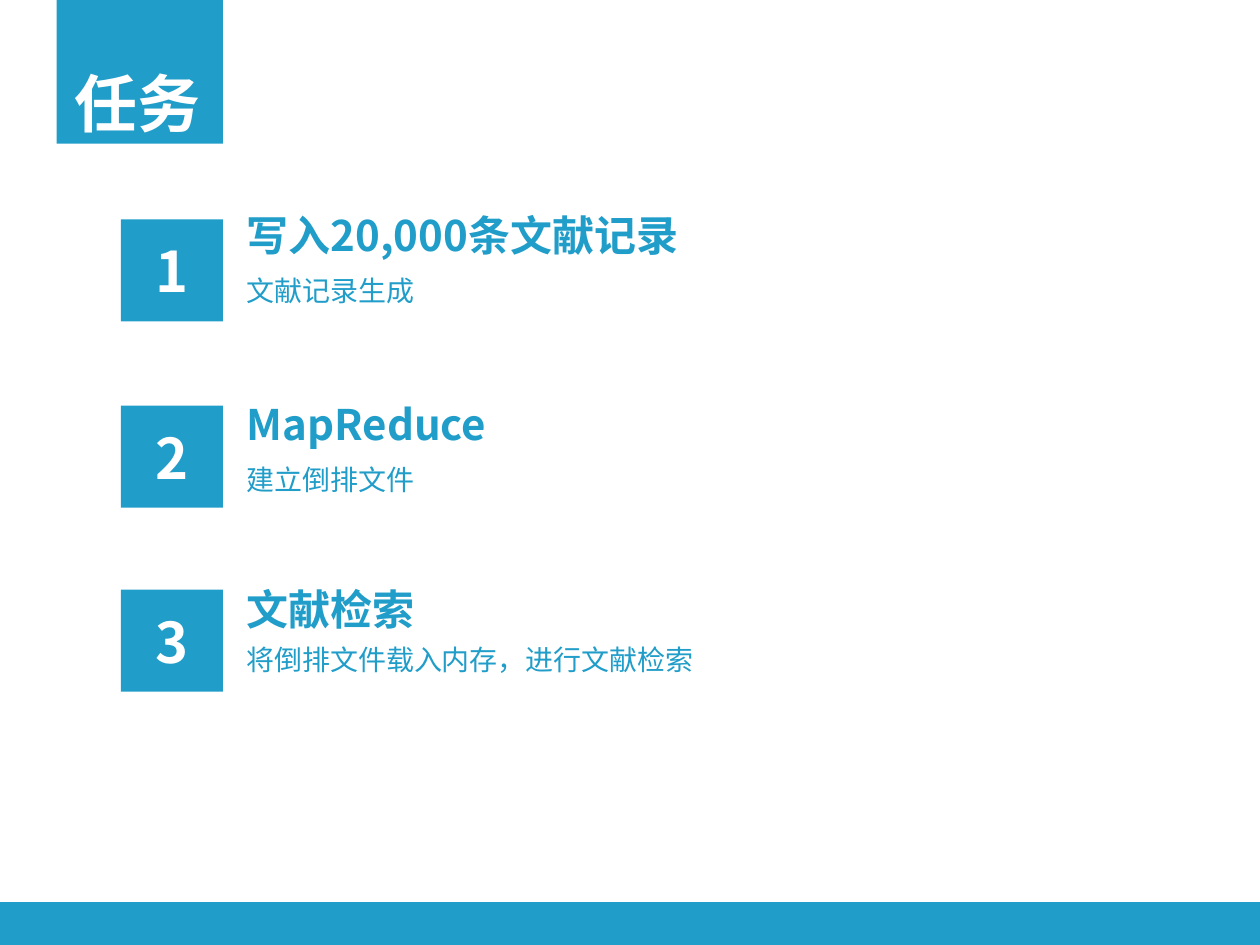
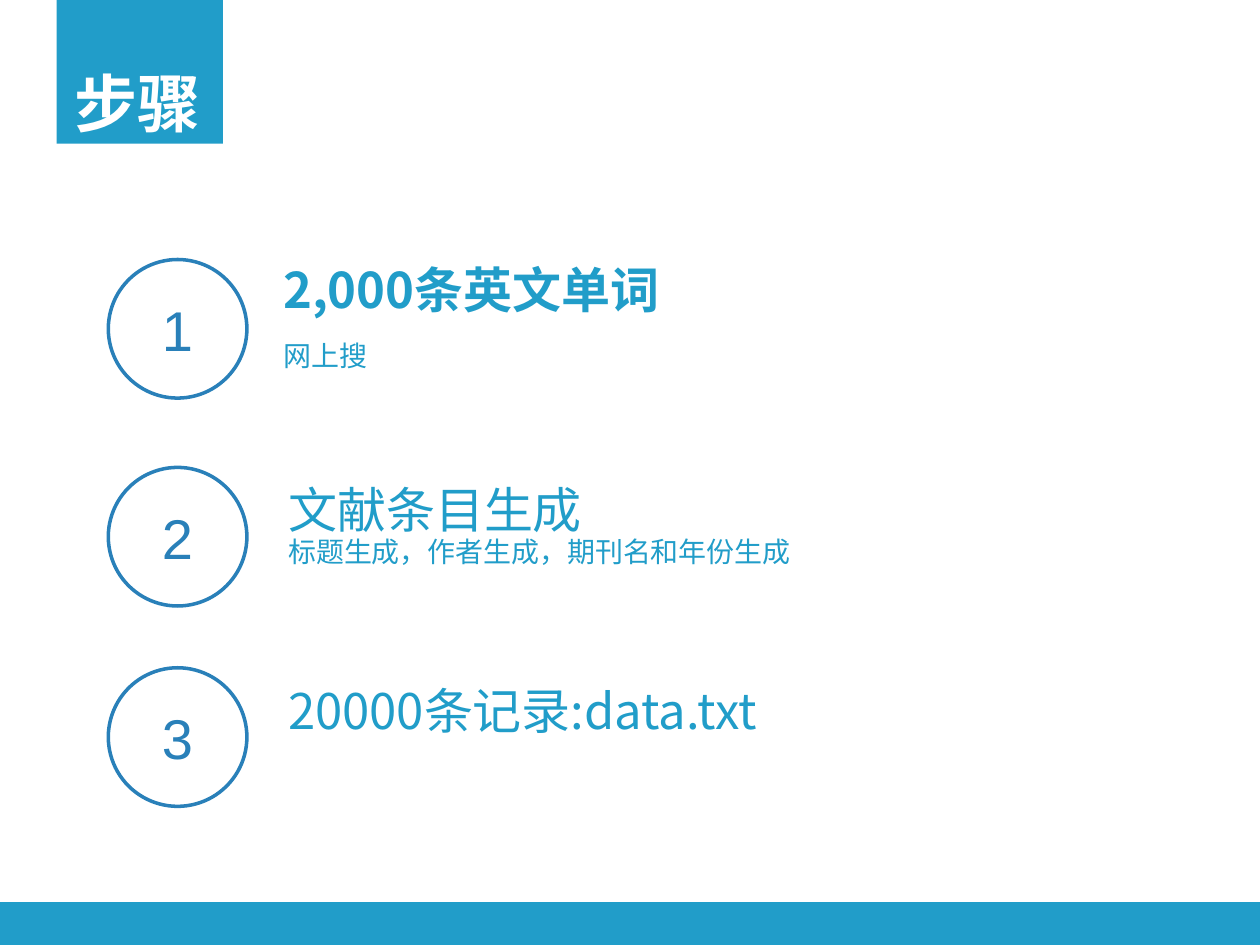
"""Build two slides that list the tasks and the steps of a literature index."""
from dataclasses import dataclass
from typing import Optional

from lxml.etree import SubElement
from pptx import Presentation
from pptx.dml.color import RGBColor
from pptx.enum.shapes import MSO_SHAPE as Preset
from pptx.enum.text import MSO_ANCHOR as Anchor, MSO_AUTO_SIZE as AutoSize, PP_ALIGN as Align
from pptx.oxml.ns import qn
from pptx.slide import Slide
from pptx.text.text import _Paragraph as Paragraph
from pptx.util import Inches, Pt


@dataclass(frozen=True)
class Theme:
    """Colours, fonts and type sizes of the deck."""
    accent: RGBColor = RGBColor(0x21, 0x9D, 0xC9)
    ring: RGBColor = RGBColor(0x29, 0x80, 0xB9)
    white: RGBColor = RGBColor(0xFF, 0xFF, 0xFF)
    cjk: str = "Noto Sans CJK SC"
    arial: str = "Arial"
    calibri: str = "Calibri"
    title: int = 36
    number: int = 32
    step: int = 28
    task: int = 24
    detail: int = 16


THEME = Theme()


@dataclass(frozen=True)
class Line:
    """One line of text with its type style."""
    text: str
    size: int
    bold: bool = False
    font: str = THEME.cjk
    spacing: Optional[float] = None


@dataclass(frozen=True)
class Block:
    """A text box given in inches with its lines."""
    left: float
    top: float
    width: float
    height: float
    lines: tuple[Line, ...]


@dataclass(frozen=True)
class Item:
    """A numbered entry: the top of its badge and its text."""
    badge_top: float
    blocks: tuple[Block, ...]


@dataclass(frozen=True)
class Badge:
    """The look of the number badges on one slide."""
    preset: Preset
    left: float
    size: float
    colour: RGBColor
    font: str
    solid: bool


@dataclass(frozen=True)
class Page:
    """A slide with its title, badge look and items."""
    title: str
    badge: Badge
    items: tuple[Item, ...]


SQUARE = Badge(Preset.RECTANGLE, 0.96, 0.81, THEME.white, THEME.cjk, solid=True)
CIRCLE = Badge(Preset.OVAL, 0.86, 1.1, THEME.ring, THEME.arial, solid=False)


def task(badge_top: float, heading: tuple[str, float, float],
         detail: tuple[str, float, float]) -> Item:
    """Describe a task by text, top and width of its heading and detail."""
    heading_text, heading_top, heading_width = heading
    detail_text, detail_top, detail_width = detail
    return Item(badge_top, (
        Block(1.86, heading_top, heading_width, 0.5, (Line(heading_text, THEME.task, bold=True),)),
        Block(1.86, detail_top, detail_width, 0.37, (Line(detail_text, THEME.detail),)),
    ))


PAGES = (
    Page("任务", SQUARE, (
        task(1.74, ("写入20,000条文献记录", 1.61, 4.17), ("文献记录生成", 2.12, 7.02)),
        task(3.22, ("MapReduce", 3.11, 3.53), ("建立倒排文件", 3.62, 6.91)),
        task(4.68, ("文献检索", 4.58, 5.49), ("将倒排文件载入内存，进行文献检索", 5.05, 7.83)),
    )),
    Page("步骤", CIRCLE, (
        Item(2.06, (
            Block(2.15, 2.01, 5.34, 0.57, (Line("2,000条英文单词", THEME.step, bold=True),)),
            Block(2.15, 2.64, 7.72, 0.37, (Line("网上搜", THEME.detail, font=THEME.calibri),)),
        )),
        Item(3.71, (Block(2.19, 3.76, 5.63, 0.9, (
            Line("文献条目生成", THEME.step),
            Line("标题生成，作者生成，期刊名和年份生成", THEME.detail, spacing=0.9),
        )),)),
        Item(5.3, (Block(2.19, 5.35, 7.67, 0.9, (Line("20000条记录:data.txt", THEME.step),)),)),
    )),
)


def write_line(paragraph: Paragraph, line: Line, colour: RGBColor) -> None:
    """Fill a paragraph and format its run for Latin and East Asian letters."""
    paragraph.text = line.text
    paragraph.line_spacing = line.spacing
    for run in paragraph.runs:
        run.font.size = Pt(line.size)
        run.font.bold = line.bold
        run.font.name = line.font
        run.font.color.rgb = colour
        SubElement(run.font._element, qn("a:ea"), typeface=THEME.cjk)


def add_band(slide: Slide, left: float, top: float, width: float, height: float) -> None:
    """Draw a plain accent rectangle."""
    band = slide.shapes.add_shape(Preset.RECTANGLE, Inches(left), Inches(top),
                                  Inches(width), Inches(height))
    band.shadow.inherit = False
    band.fill.solid()
    band.fill.fore_color.rgb = THEME.accent
    band.line.fill.background()


def add_title(slide: Slide, text: str) -> None:
    """Draw the shared bands and set the title on top of them."""
    add_band(slide, 0, 7.16, 10, 0.34)
    add_band(slide, 0.45, 0, 1.32, 1.14)
    title = slide.shapes.title
    title.left, title.top = Inches(0.49), Inches(0.46)
    title.width, title.height = Inches(1.21), Inches(0.71)
    frame = title.text_frame
    frame.word_wrap = False
    frame.auto_size = AutoSize.SHAPE_TO_FIT_TEXT
    frame.vertical_anchor = Anchor.TOP
    write_line(frame.paragraphs[0], Line(text, THEME.title, bold=True), THEME.white)
    frame.paragraphs[0].alignment = Align.LEFT
    slide.shapes.element.append(title.element)


def add_badge(slide: Slide, badge: Badge, top: float, number: int) -> None:
    """Draw a numbered badge."""
    marker = slide.shapes.add_shape(badge.preset, Inches(badge.left), Inches(top),
                                    Inches(badge.size), Inches(badge.size))
    marker.shadow.inherit = False
    if badge.solid:
        marker.fill.solid()
        marker.fill.fore_color.rgb = THEME.accent
        marker.line.fill.background()
    else:
        marker.fill.background()
        marker.line.color.rgb = badge.colour
        marker.line.width = Pt(2)
    frame = marker.text_frame
    frame.vertical_anchor = Anchor.MIDDLE
    label = Line(str(number), THEME.number, bold=badge.solid, font=badge.font)
    write_line(frame.paragraphs[0], label, badge.colour)
    frame.paragraphs[0].alignment = Align.CENTER


def add_block(slide: Slide, block: Block) -> None:
    """Draw a wrapped text box, one paragraph per line."""
    box = slide.shapes.add_textbox(Inches(block.left), Inches(block.top),
                                   Inches(block.width), Inches(block.height))
    frame = box.text_frame
    frame.word_wrap = True
    frame.text = "\n".join(line.text for line in block.lines)
    for paragraph, line in zip(frame.paragraphs, block.lines):
        write_line(paragraph, line, THEME.accent)


def main() -> None:
    """Build and save the deck."""
    deck = Presentation()
    deck.slide_width, deck.slide_height = Inches(10), Inches(7.5)
    title_only = deck.slide_layouts.get_by_name("Title Only")
    for page in PAGES:
        slide = deck.slides.add_slide(title_only)
        add_title(slide, page.title)
        for number, item in enumerate(page.items, start=1):
            add_badge(slide, page.badge, item.badge_top, number)
            for block in item.blocks:
                add_block(slide, block)
    deck.save("out.pptx")


if __name__ == "__main__":
    main()
